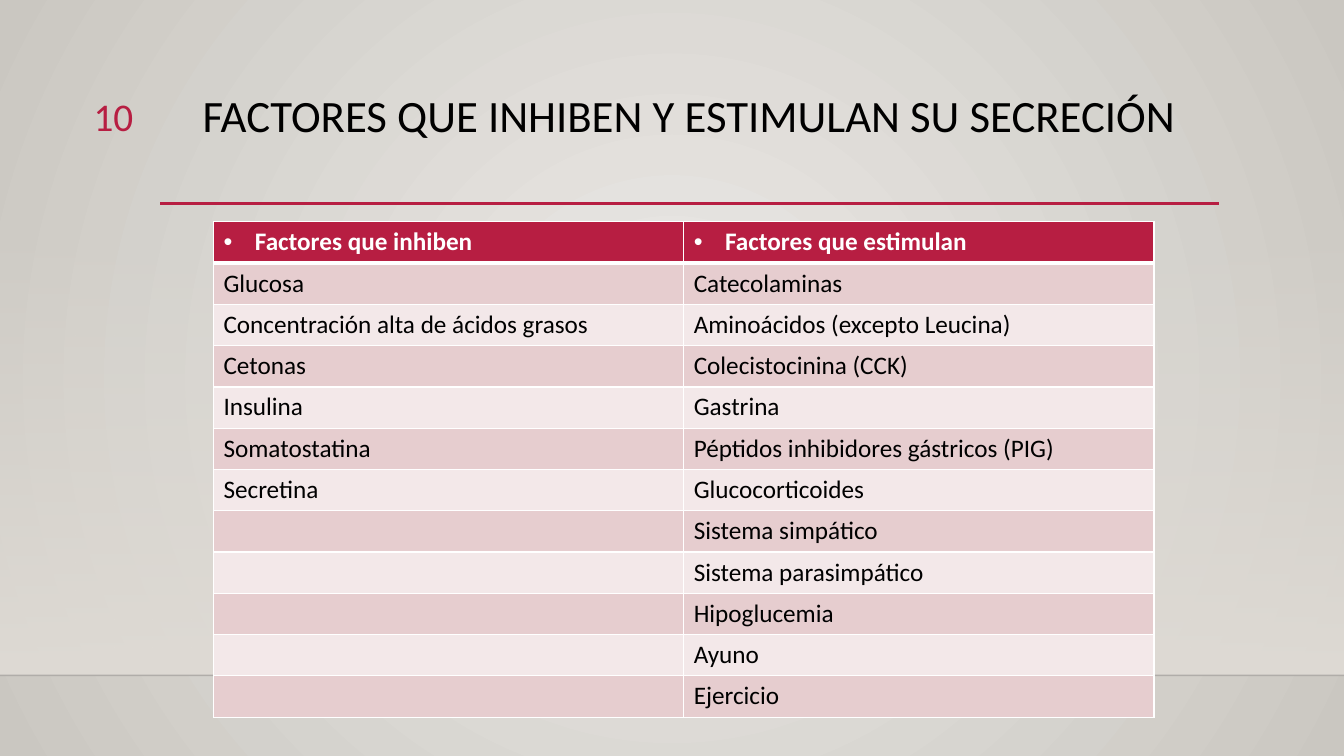
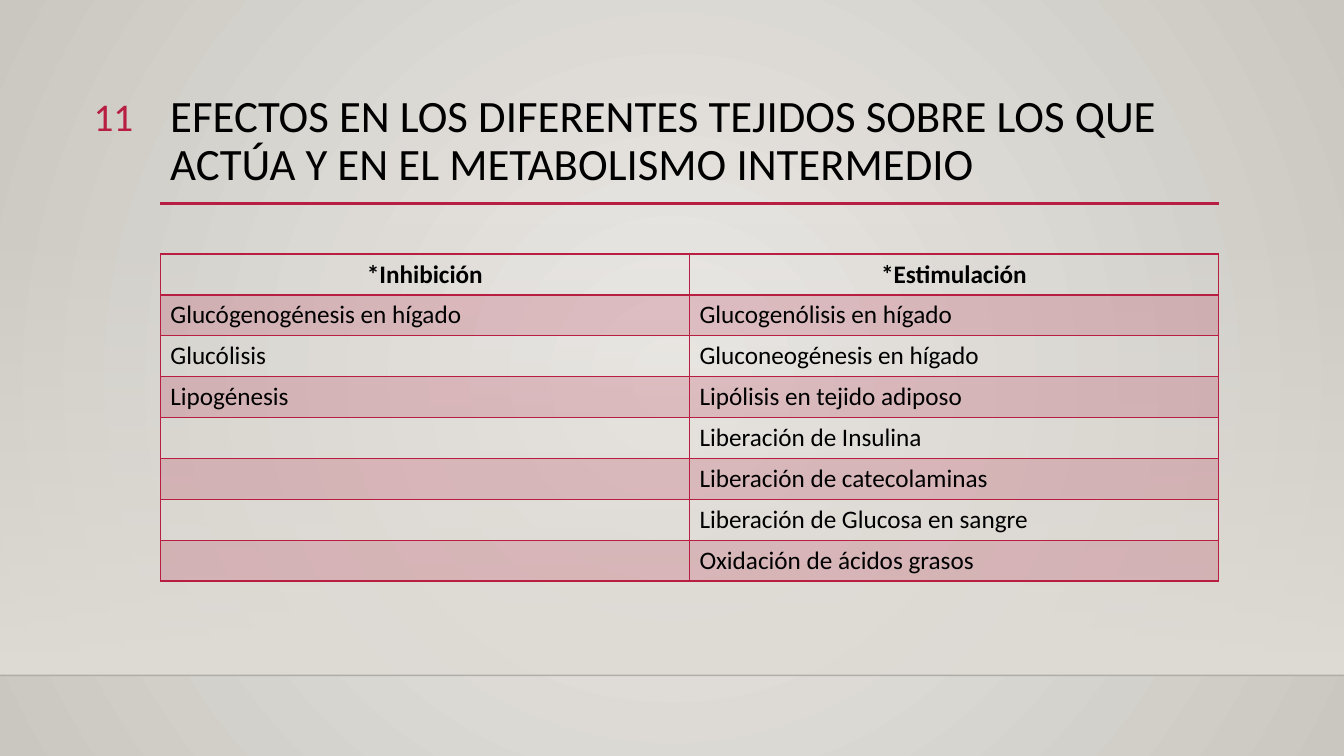
from itertools import zip_longest

from lxml import etree
from pptx import Presentation
from pptx.dml.color import RGBColor
from pptx.enum import shapes, text
from pptx.oxml.ns import qn
from pptx.util import Cm, Pt

COLORS = {
    "accent": "B71E42",
    "ink": "000000",
    "horizon": "000001",
    "white": "FFFFFF",
    "glow": "ECEAE7",
    "edge": "CAC7C1",
    "floor": "DFDBD5",
    "band_dark": "E6CDCF",
    "band_light": "F3E8E9",
}
WIDTH, HEIGHT = 33.87, 19.05
LEFT, CONTENT_WIDTH = 4.04, 26.67
TITLE_BOX = (LEFT, 2.24, CONTENT_WIDTH, 2.92)
NUMBER_BOX = (1.35, 2.21, 2.26, 1.4)
FLOOR_BOX = (0, 5.61, WIDTH, 11.41)

TITLE = {"size": Pt(32), "color": "ink"}
NUMBER = {"size": Pt(28), "color": "accent"}
BODY = {"size": Pt(18), "bold": False, "color": "ink"}

SOLID = {
    "header": {**BODY, "bold": True, "color": "white"},
    "header_fill": ("accent", 100),
    "bands": [("band_dark", 100), ("band_light", 100)],
    "border": "white",
    "rule": 3,
    "bullet": True,
    "align": text.PP_ALIGN.LEFT,
}
OUTLINED = {
    "header": {**BODY, "bold": True},
    "header_fill": None,
    "bands": [("accent", 20), None],
    "border": "accent",
    "rule": 2,
    "bullet": False,
    "align": text.PP_ALIGN.CENTER,
}

PAGES = [
    {
        "number": "10",
        "title": "FACTORES QUE INHIBEN Y ESTIMULAN SU SECRECIÓN",
        "align": text.PP_ALIGN.CENTER,
        "box": (5.38, 5.59, 23.7, 12.48),
        "style": SOLID,
        "columns": {
            "Factores que inhiben": [
                "Glucosa", "Concentración alta de ácidos grasos", "Cetonas",
                "Insulina", "Somatostatina", "Secretina",
            ],
            "Factores que estimulan": [
                "Catecolaminas", "Aminoácidos (excepto Leucina)",
                "Colecistocinina (CCK)", "Gastrina",
                "Péptidos inhibidores gástricos (PIG)", "Glucocorticoides",
                "Sistema simpático", "Sistema parasimpático",
                "Hipoglucemia", "Ayuno", "Ejercicio",
            ],
        },
    },
    {
        "number": "11",
        "title": "EFECTOS EN LOS DIFERENTES TEJIDOS SOBRE LOS QUE ACTÚA "
                 "Y EN EL METABOLISMO INTERMEDIO",
        "align": text.PP_ALIGN.LEFT,
        "box": (LEFT, 6.4, CONTENT_WIDTH, 8.24),
        "style": OUTLINED,
        "columns": {
            "*Inhibición": [
                "Glucógenogénesis en hígado", "Glucólisis", "Lipogénesis",
            ],
            "*Estimulación": [
                "Glucogenólisis en hígado", "Gluconeogénesis en hígado",
                "Lipólisis en tejido adiposo", "Liberación de Insulina",
                "Liberación de catecolaminas",
                "Liberación de Glucosa en sangre",
                "Oxidación de ácidos grasos",
            ],
        },
    },
]


def rgb(name):
    return RGBColor.from_string(COLORS[name])


def add_node(parent, tag, **attributes):
    node = etree.SubElement(parent, qn(tag))
    for key, value in attributes.items():
        node.set(key, str(value))
    return node


def add_color(parent, name, opacity=100):
    color = add_node(parent, "a:srgbClr", val=COLORS[name])
    if opacity < 100:
        add_node(color, "a:alpha", val=opacity * 1000)


def set_opacity(element, opacity):
    add_node(element.find(".//" + qn("a:srgbClr")), "a:alpha", val=opacity * 1000)


def fill_gradient(owner, fill, stops, circular=False):
    fill.gradient()
    gradient = owner.element.find(".//" + qn("a:gradFill"))
    for child in list(gradient):
        gradient.remove(child)
    stop_list = add_node(gradient, "a:gsLst")
    for position, name, opacity in stops:
        add_color(add_node(stop_list, "a:gs", pos=position * 1000), name, opacity)
    if circular:
        center = add_node(gradient, "a:path", path="circle")
        add_node(center, "a:fillToRect", l=50000, t=50000, r=50000, b=50000)
    else:
        add_node(gradient, "a:lin", ang=90 * 60000, scaled=0)


def write(frame, words, style, align):
    para = frame.paragraphs[0]
    para.alignment = align
    span = para.add_run()
    span.text = words
    span.font.name = "Calibri"
    for key, value in style.items():
        if key == "color":
            span.font.color.rgb = rgb(value)
        else:
            setattr(span.font, key, value)
    return para


def add_text(page, box, words, style, align):
    frame = page.shapes.add_textbox(*map(Cm, box)).text_frame
    frame.word_wrap = True
    return write(frame, words, style, align)


def add_rule(page, left, top, width, color, weight):
    rule = page.shapes.add_connector(
        shapes.MSO_CONNECTOR.STRAIGHT,
        Cm(left), Cm(top), Cm(left + width), Cm(top),
    )
    rule.line.color.rgb = rgb(color)
    rule.line.width = Pt(weight)
    add_node(rule.element.spPr, "a:effectLst")
    return rule


def draw_floor(page, box):
    left, top, width, height = box
    floor = page.shapes.add_shape(shapes.MSO_SHAPE.RECTANGLE, *map(Cm, box))
    floor.shadow.inherit = False
    floor.line.fill.background()
    fill_gradient(floor, floor.fill, [(0, "floor", 0), (100, "floor", 100)])
    horizon = add_rule(page, left, top + height, width, "horizon", 1)
    set_opacity(horizon.element.spPr, 20)


def draw_heading(page, box, title, align):
    left, top, width, height = box
    add_rule(page, left, top + height - 0.03, 26.69, "accent", 2.5)
    add_text(page, box, title, TITLE, align).line_spacing = 0.9


def add_bullet(para):
    properties = para._p.get_or_add_pPr()
    indent = Cm(0.79)
    properties.set("marL", str(indent))
    properties.set("indent", str(-indent))
    add_node(properties, "a:buFont", typeface="Arial")
    add_node(properties, "a:buChar", char="•")


def paint_cell(cell, paint):
    if paint is None:
        cell.fill.background()
        return
    name, opacity = paint
    cell.fill.solid()
    cell.fill.fore_color.rgb = rgb(name)
    if opacity < 100:
        set_opacity(cell._tc.tcPr, opacity)


def outline_cell(cell, color, weights):
    properties = cell._tc.get_or_add_tcPr()
    for index, (side, weight) in enumerate(weights.items()):
        border = add_node(properties, "a:ln" + side, w=Pt(weight))
        add_color(add_node(border, "a:solidFill"), color)
        properties.insert(index, border)


def draw_table(page, box, columns, style):
    rows = [tuple(columns), *zip_longest(*columns.values(), fillvalue="")]
    table = page.shapes.add_table(len(rows), len(columns), *map(Cm, box)).table
    table.first_row = table.horz_banding = False
    for column in table.columns:
        column.width = Cm(box[2] / len(columns))
    for row in table.rows:
        row.height = Cm(box[3] / len(rows))
    for row_index, row in enumerate(rows):
        is_header = row_index == 0
        weights = {
            "L": 1, "R": 1,
            "T": style["rule"] if row_index == 1 else 1,
            "B": style["rule"] if is_header else 1,
        }
        paint = style["header_fill"] if is_header else style["bands"][(row_index - 1) % 2]
        for column_index, words in enumerate(row):
            cell = table.cell(row_index, column_index)
            paint_cell(cell, paint)
            outline_cell(cell, style["border"], weights)
            if is_header:
                para = write(cell.text_frame, words, style["header"], style["align"])
                if style["bullet"]:
                    add_bullet(para)
            elif words:
                write(cell.text_frame, words, BODY, text.PP_ALIGN.LEFT)


def build_page(deck, content):
    page = deck.slides.add_slide(deck.slide_layouts[6])
    draw_floor(page, FLOOR_BOX)
    draw_heading(page, TITLE_BOX, content["title"], content["align"])
    draw_table(page, content["box"], content["columns"], content["style"])
    add_text(page, NUMBER_BOX, content["number"], NUMBER, text.PP_ALIGN.RIGHT)


def main():
    deck = Presentation()
    deck.slide_width, deck.slide_height = Cm(WIDTH), Cm(HEIGHT)
    master = deck.slide_master
    fill_gradient(
        master, master.background.fill,
        [(0, "glow", 100), (100, "edge", 100)], circular=True,
    )
    for content in PAGES:
        build_page(deck, content)
    deck.save("out.pptx")


if __name__ == "__main__":
    main()
